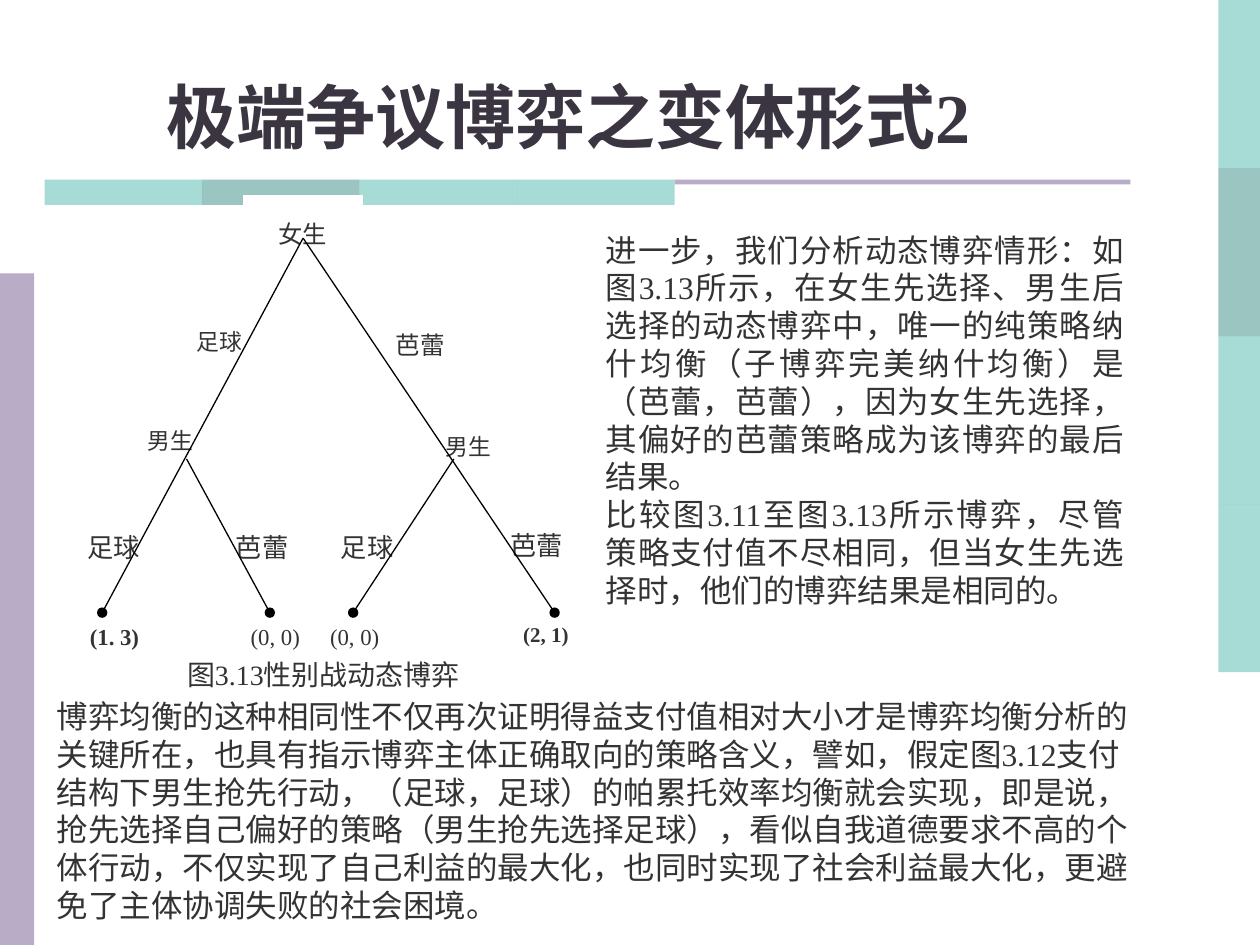
from dataclasses import dataclass

from lxml import etree
from pptx import Presentation
from pptx.dml.color import RGBColor
from pptx.enum.shapes import MSO_CONNECTOR, MSO_SHAPE
from pptx.enum.text import MSO_ANCHOR, MSO_AUTO_SIZE, PP_ALIGN
from pptx.oxml.ns import qn
from pptx.util import Cm, Pt

RECTANGLE = MSO_SHAPE.RECTANGLE
STRAIGHT = MSO_CONNECTOR.STRAIGHT
LEFT, CENTER, RIGHT, JUSTIFY = (
    PP_ALIGN.LEFT, PP_ALIGN.CENTER, PP_ALIGN.RIGHT, PP_ALIGN.JUSTIFY)
TOP, MIDDLE, BOTTOM = MSO_ANCHOR.TOP, MSO_ANCHOR.MIDDLE, MSO_ANCHOR.BOTTOM


@dataclass(frozen=True)
class Theme:
    font: str = "Times New Roman"
    ink: str = "333333"
    title_ink: str = "3A3541"
    teal: str = "51B9AF"
    deep_teal: str = "398D85"
    lilac: str = "B8ACC6"
    paper: str = "FFFFFF"
    branch: str = "000000"
    title_size: float = 40
    body_size: float = 18
    caption_size: float = 16
    move_size: float = 15
    player_size: float = 13
    hairline: float = 0.75


THEME = Theme()


def write(shape, *paragraphs, size, color=THEME.ink, bold=False, align=LEFT,
          anchor=TOP, spacing=None, margins=(0.25, 0.13), grow=False):
    """Fill a shape with formatted paragraphs."""
    frame = shape.text_frame
    frame.word_wrap = True
    frame.auto_size = (MSO_AUTO_SIZE.SHAPE_TO_FIT_TEXT if grow
                       else MSO_AUTO_SIZE.NONE)
    frame.vertical_anchor = anchor
    frame.margin_left = frame.margin_right = Cm(margins[0])
    frame.margin_top = frame.margin_bottom = Cm(margins[1])
    for index, text in enumerate(paragraphs):
        para = frame.add_paragraph() if index else frame.paragraphs[0]
        para.alignment = align
        if spacing:
            para.line_spacing = spacing
        span = para.add_run()
        span.text = text
        span.font.name = THEME.font
        span.font.size = Pt(size)
        span.font.bold = bold
        span.font.color.rgb = RGBColor.from_string(color)


def add_text(page, box, *paragraphs, **style):
    write(page.shapes.add_textbox(*map(Cm, box)), *paragraphs, **style)


def add_block(page, box, color, opacity=100, outline=None):
    block = page.shapes.add_shape(RECTANGLE, *map(Cm, box))
    block.shadow.inherit = False
    block.fill.solid()
    block.fill.fore_color.rgb = RGBColor.from_string(color)
    if opacity < 100:
        tint = block.fill._xPr.find(qn("a:solidFill"))[0]
        etree.SubElement(tint, qn("a:alpha"), val=str(opacity * 1000))
    if outline:
        block.line.color.rgb = RGBColor.from_string(outline)
        block.line.width = Pt(THEME.hairline)
    else:
        block.line.fill.background()
    return block


def add_branch(page, start, end):
    """Draw a tree branch that ends in a round dot."""
    branch = page.shapes.add_connector(STRAIGHT, *map(Cm, (*start, *end)))
    branch.line.color.rgb = RGBColor.from_string(THEME.branch)
    branch.line.width = Pt(THEME.hairline)
    etree.SubElement(branch.line._get_or_add_ln(), qn("a:tailEnd"), type="oval")
    etree.SubElement(branch._element.spPr, qn("a:effectLst"))


def draw_strip(page, box, colors, vertical):
    """Split a box into equal half-transparent blocks."""
    left, top, width, height = box
    count = len(colors)
    for index, color in enumerate(colors):
        if vertical:
            part = (left, top + index * height / count, width, height / count)
        else:
            part = (left + index * width / count, top, width / count, height)
        add_block(page, part, color, opacity=50)


def draw_decoration(page):
    teal, deep = THEME.teal, THEME.deep_teal
    draw_strip(page, (24.56, 0, 0.84, 13.55), (teal, deep, teal, teal), True)
    add_block(page, (0, 5.51, 0.69, 13.54), THEME.lilac)
    draw_strip(page, (0.9, 3.62, 12.7, 0.51), (teal, deep, teal, teal), False)
    add_block(page, (13.6, 3.62, 9.19, 0.1), THEME.lilac)


def draw_game_tree(page, box):
    left, top, width, height = box
    move, player = THEME.move_size, THEME.player_size
    move_h, payoff_h = 1.35, 0.99
    move_y, payoff_y, choice_y = 6.2, 8.18, 2.18

    # Labels: text, place in the box, size, alignment, line spacing, bold
    labels = (
        ("足球", (5.11, move_y, 1.78, move_h), move, CENTER, 1.9, False),
        ("芭蕾", (8.53, 6.15, 1.78, move_h), move, CENTER, 1.9, False),
        ("(2, 1)", (8.92, payoff_y, 1.37, 0.91), 12, CENTER, 1.8, True),
        ("芭蕾", (3.07, move_y, 1.63, move_h), move, CENTER, 1.9, False),
        ("芭蕾", (6.5, choice_y, 1.14, 1.17), 14, CENTER, 1.9, False),
        ("男生", (7.59, 4.29, 2.36, 1.07), player, JUSTIFY, 1.9, False),
        ("男生", (0.33, 4.17, 2.16, 1.07), player, RIGHT, 1.9, False),
        ("(0, 0)", (4.9, payoff_y, 1.7, payoff_h), player, CENTER, 1.8, False),
        ("(0, 0)", (3.3, payoff_y, 1.7, payoff_h), player, CENTER, 1.8, False),
        (" (1. 3)", (0, payoff_y, 1.7, payoff_h), player, CENTER, 1.8, True),
        ("足球", (0.1, move_y, 1.57, move_h), move, CENTER, 1.9, False),
        ("足球", (1.12, choice_y, 2.36, 1.17), player, RIGHT, 1.9, False),
        ("女生", (3.51, 0, 2.39, 1.07), 13.9, CENTER, 1.8, False),
    )
    for text, (x, y, w, h), size, align, spacing, bold in labels:
        label = add_block(page, (left + x, top + y, w, h), THEME.paper,
                          outline=THEME.paper)
        write(label, text, size=size, align=align, spacing=spacing, bold=bold,
              margins=(0, 0))

    # Branches: two long ones from the root, one more from each second mover
    root, left_node, right_node = (4.71, 0.86), (2.36, 5.31), (7.75, 5.31)
    leaf_y = 8.41
    for (x, y), leaf_x in ((root, 0.66), (root, 9.78),
                           (left_node, 4.04), (right_node, 5.72)):
        add_branch(page, (left + x, top + y), (left + leaf_x, top + leaf_y))

    # Caption
    add_text(page, (left - 0.69, top + height, width + 1.3, 0.93),
             "图3.13性别战动态博弈", size=THEME.caption_size, align=CENTER,
             anchor=MIDDLE, grow=True)


def draw_slide(page):
    draw_decoration(page)
    # Analysis beside the tree
    add_text(
        page, (11.96, 4.52, 10.95, 7.87),
        "进一步，我们分析动态博弈情形：如图3.13所示，在女生先选择、男生后选择的动态博弈中，"
        "唯一的纯策略纳什均衡（子博弈完美纳什均衡）是（芭蕾，芭蕾），因为女生先选择，"
        "其偏好的芭蕾策略成为该博弈的最后结果。",
        "比较图3.11至图3.13所示博弈，尽管策略支付值不尽相同，但当女生先选择时，"
        "他们的博弈结果是相同的。",
        size=THEME.body_size, align=JUSTIFY, grow=True)
    draw_game_tree(page, (1.4, 3.94, 10.31, 9.19))
    # Conclusion
    add_text(
        page, (0.89, 13.92, 22.4, 4.83),
        "博弈均衡的这种相同性不仅再次证明得益支付值相对大小才是博弈均衡分析的关键所在，"
        "也具有指示博弈主体正确取向的策略含义，譬如，假定图3.12支付结构下男生抢先行动，"
        "（足球，足球）的帕累托效率均衡就会实现，即是说，抢先选择自己偏好的策略"
        "（男生抢先选择足球），看似自我道德要求不高的个体行动，不仅实现了自己利益的最大化，"
        "也同时实现了社会利益最大化，更避免了主体协调失败的社会困境。",
        size=THEME.body_size, grow=True)
    # Title
    add_text(page, (0, 1.12, 22.91, 2.18), "极端争议博弈之变体形式2",
             size=THEME.title_size, color=THEME.title_ink, bold=True,
             align=CENTER, anchor=BOTTOM)


def main():
    deck = Presentation()
    deck.slide_width, deck.slide_height = Cm(25.4), Cm(19.05)
    draw_slide(deck.slides.add_slide(deck.slide_layouts[6]))
    deck.save("out.pptx")


if __name__ == "__main__":
    main()
